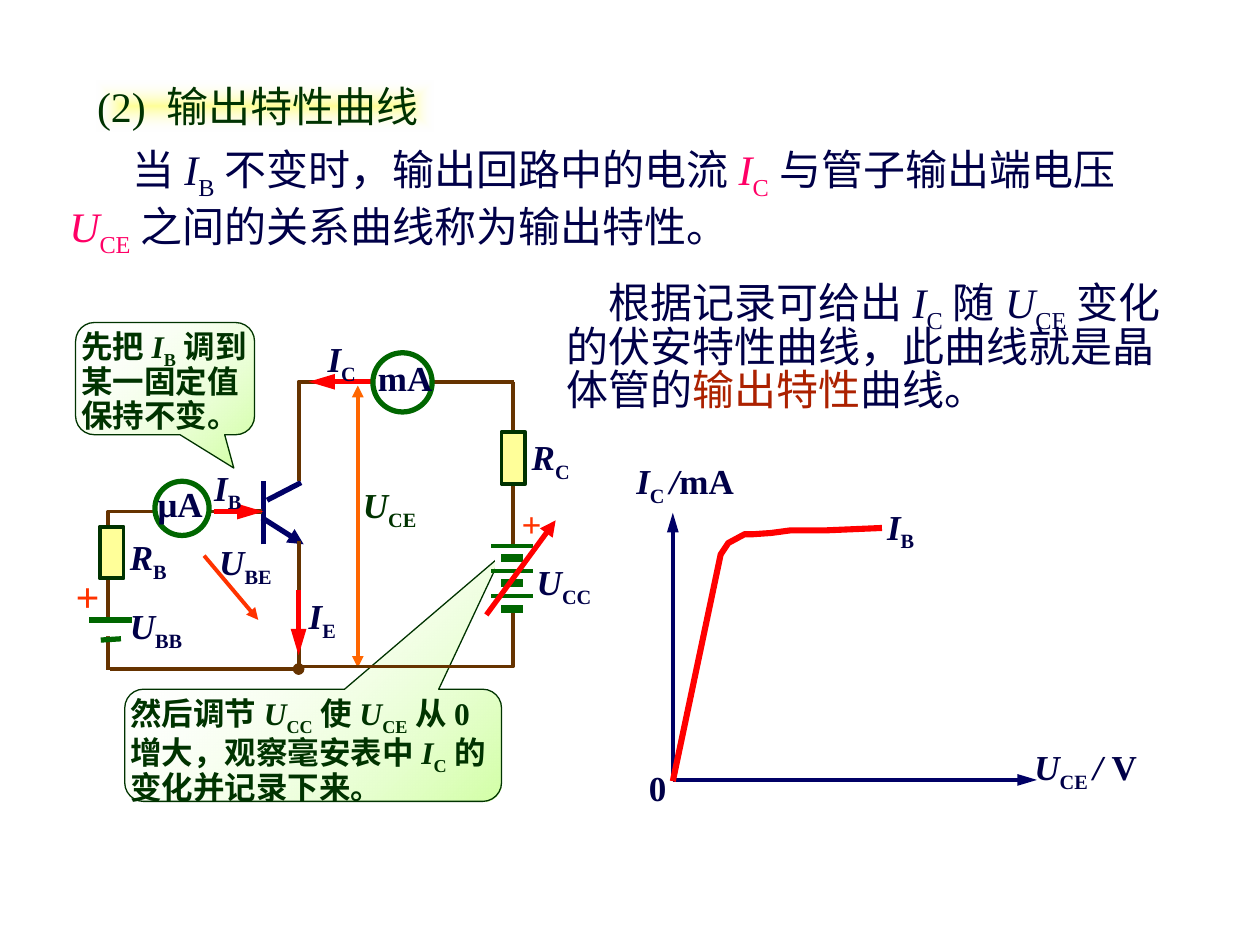
from lxml import etree
from pptx import Presentation
from pptx.dml.color import RGBColor
from pptx.enum.shapes import MSO_CONNECTOR, MSO_SHAPE
from pptx.enum.text import MSO_ANCHOR, MSO_AUTO_SIZE, PP_ALIGN
from pptx.oxml.ns import qn
from pptx.util import Inches, Pt

LINE = MSO_CONNECTOR.STRAIGHT
RECT, OVAL = MSO_SHAPE.RECTANGLE, MSO_SHAPE.OVAL
BUBBLE = MSO_SHAPE.ROUNDED_RECTANGULAR_CALLOUT
TOP, LEFT, NOFIT = MSO_ANCHOR.TOP, PP_ALIGN.LEFT, MSO_AUTO_SIZE.NONE

HUES = {"white": "FFFFFF", "glow": "FFFF99", "lime": "CCFF99", "dark": "003300",
        "green": "006600", "ink": "000048", "navy": "000066", "pink": "FF0066",
        "rust": "AC2100", "brown": "663300", "red": "FF0000", "flame": "FF3300",
        "orange": "FF6600"}

# Text markup: | parts runs, * italic, _ subscript, ! pink italic, ? pink subscript, ~ rust
HEAD = "(2) 输出特性曲线"
# text, box, first-line indent, line spacing
BODY = [
    ("当|*I|_B|不变时，输出回路中的电流|!I|?C|与管子输出端电压|!U|?CE|"
     "之间的关系曲线称为输出特性。", (0.55, 1.14, 8.74, 0.8), 0.5, 1),
    ("根据记录可给出|*I|_C|随|*U|_CE|变化的伏安特性曲线，此曲线就是晶体管的|"
     "~输出特性|曲线。", (4.5, 2.22, 4.84, 1.02), 0.33, 0.85),
]
# text, box, pointer adjustments
NOTES = [
    ("先把|*I|_B|调到某一固定值保持不变。",
     (0.6, 2.56, 1.42, 0.89), (0.384, 0.797, 0.167)),
    ("然后调节|*U|_CC|使|*U|_CE|从0增大，观察毫安表中|*I|_C|的变化并记录下来。",
     (0.99, 5.47, 2.99, 0.89), (0.501, -1.698, 0.167)),
]
# text, left, top, width, line spacing, colour, size
LABELS = [
    ("*U|_CE", 2.88, 3.84, 0.71, 0.95, "dark", 20),
    ("*U|_BB", 1.03, 4.8, 0.55, 1, "ink", 20),
    ("*U|_CC", 4.26, 4.45, 0.55, 1, "ink", 20),
    ("*R|_C", 4.22, 3.46, 0.36, 1, "ink", 20),
    ("*R|_B", 1.03, 4.25, 0.45, 1, "ink", 20),
    ("+", 0.6, 4.53, 0.25, 1, "flame", 24),
    ("+", 4.14, 3.99, 0.2, 1, "flame", 20),
    ("*I|_C", 2.6, 2.68, 0.31, 0.95, "ink", 20),
    ("*I|_B", 1.7, 3.7, 0.32, 0.95, "ink", 20),
    ("*I|_E", 2.45, 4.72, 0.32, 0.95, "ink", 20),
    ("*U|_BE", 1.74, 4.29, 0.53, 0.95, "ink", 20),
    ("mA", 3, 2.87, 0.47, 0.9, "ink", 20),
    ("μA", 1.25, 3.83, 0.42, 1, "ink", 20),
    ("*I|_B", 7.04, 4.03, 0.35, 0.85, "ink", 20),
    ("*U|_CE |*/ |V", 8.21, 5.92, 1, 1, "ink", 20),
    ("*I|_C |*/|mA", 5.05, 3.65, 0.95, 1, "ink", 20),
    ("0", 5.15, 6.08, 0.21, 1, "ink", 20),
]
# points, colour, width
BENDS = [
    ([(1.82, 4.06), (0.86, 4.06), (0.86, 5.32)], "brown", 2.25),
    ([(4.07, 3.03), (4.07, 5.29), (2.37, 5.29)], "brown", 2.25),
    ([(2.37, 3.82), (2.37, 3.03), (4.08, 3.03)], "brown", 2.25),
]
CURVE = ([(5.34, 6.2), (5.72, 4.4), (5.78, 4.31), (5.91, 4.24), (5.98, 4.24),
          (6.12, 4.23), (6.27, 4.21), (6.41, 4.21), (6.54, 4.21), (7, 4.19)],
         "red", 3.5)
# from, to, colour, width, then head, tail and arrow length where needed
WIRES = [
    ((2.84, 3.06), (2.84, 5.3), "orange", 2.25, "triangle", "triangle"),
    ((2.09, 4.32), (2.09, 3.82), "navy", 3),
    ((2.08, 4.11), (2.41, 4.32), "navy", 3, None, "triangle"),
    ((2.12, 3.97), (2.39, 3.83), "navy", 3),
    ((2.08, 4.06), (1.82, 4.06), "brown", 3),
    ((0.87, 5.31), (2.37, 5.31), "brown", 2.25),
    ((2.37, 4.29), (2.37, 5.31), "brown", 2.25, None, "oval"),
]
PLATES = [((0.71, 4.92), (1.05, 4.92), "green", 3.5),
          ((0.8, 5.08), (0.96, 5.07), "green", 3)]
for step in range(3):
    y = 4.33 + 0.2 * step
    PLATES += [((3.9, y), (4.23, y), "green", 2.25),
               ((3.98, y + 0.1), (4.15, y + 0.1), "green", 4.5)]
ARROWS = [
    ((2.96, 3.03), (2.45, 3.03), "red", 3, None, "triangle", "lg"),
    ((1.7, 4.06), (2.09, 4.06), "red", 3, None, "triangle", "lg"),
    ((2.37, 4.68), (2.37, 5.2), "red", 3, None, "triangle", "lg"),
    ((1.62, 4.41), (2.05, 4.92), "flame", 2.25, None, "triangle"),
    ((3.86, 4.88), (4.41, 4.13), "red", 3, None, "triangle"),
    ((5.34, 6.19), (8.23, 6.19), "navy", 2.25, None, "triangle", "lg"),
    ((5.34, 6.17), (5.34, 4.07), "navy", 2.25, None, "triangle", "lg"),
]
GAPS = [(0.76, 4.92, 0.26, 0.13), (3.93, 4.33, 0.26, 0.48)]
LOADS = [(3.98, 3.43, 0.19, 0.41), (0.79, 4.18, 0.19, 0.41)]
METERS = [(2.96, 2.8, 0.47, 0.47), (1.23, 3.82, 0.43, 0.43)]

deck = Presentation()
deck.slide_width, deck.slide_height = Inches(10), Inches(7.5)
slide = deck.slides.add_slide(deck.slide_layouts[5])
shapes = slide.shapes


def hue(name):
    return RGBColor.from_string(HUES[name])


def place(box):
    return [Inches(v) for v in box]


def write(shape, text, size, color, bold=False, gap=1, indent=0):
    frame = shape.text_frame
    form = {"word_wrap": True, "auto_size": NOFIT, "vertical_anchor": TOP,
            "margin_left": 0, "margin_right": 0, "margin_top": 0, "margin_bottom": 0}
    for key, val in form.items():
        setattr(frame, key, val)
    para = frame.paragraphs[0]
    para.alignment, para.line_spacing = LEFT, gap
    if indent:
        para._p.get_or_add_pPr().set("indent", str(Inches(indent)))
    for part in text.split("|"):
        mark = part[0] if part[0] in "*_!?~" else ""
        run = para.add_run()
        run.text = part[len(mark):]
        font = {"name": "Times New Roman", "size": Pt(size), "bold": bold,
                "italic": mark in ("*", "!")}
        for key, val in font.items():
            setattr(run.font, key, val)
        tint = {"!": "pink", "?": "pink", "~": "rust"}.get(mark, color)
        run.font.color.rgb = hue(tint)
        if mark in ("_", "?"):
            run.font._element.set("baseline", "-25000")


def stroke(shape, color, width):
    shape.line.color.rgb = hue(color)
    shape.line.width = Pt(width)


def solid(kind, box, fill, edge=None, width=0):
    shape = shapes.add_shape(kind, *place(box))
    shape.shadow.inherit = False
    shape.fill.solid()
    shape.fill.fore_color.rgb = hue(fill)
    if edge:
        stroke(shape, edge, width)
    else:
        shape.line.fill.background()
    return shape


def blend(shape, stops, glow=False):
    """Gradient fill with transparency: from the centre, or along 45 degrees."""
    shape.fill.gradient()
    grad = shape._element.spPr.find(qn("a:gradFill"))
    for child in list(grad):
        grad.remove(child)
    row = etree.SubElement(grad, qn("a:gsLst"))
    for pos, color, alpha in stops:
        stop = etree.SubElement(row, qn("a:gs"), pos=str(pos * 1000))
        tint = etree.SubElement(stop, qn("a:srgbClr"), val=HUES[color])
        etree.SubElement(tint, qn("a:alpha"), val=str(alpha * 1000))
    if glow:
        way = etree.SubElement(grad, qn("a:path"), {"path": "shape"})
        etree.SubElement(way, qn("a:fillToRect"), dict.fromkeys("ltrb", "50000"))
    else:
        etree.SubElement(grad, qn("a:lin"), ang="2700000", scaled="1")


def wire(start, end, color, width, head=None, tail=None, length="med"):
    link = shapes.add_connector(LINE, *place(start + end))
    stroke(link, color, width)
    for tag, kind in (("a:headEnd", head), ("a:tailEnd", tail)):
        if kind:
            etree.SubElement(link.line._ln, qn(tag), type=kind, w="med", len=length)
    etree.SubElement(link._element.spPr, qn("a:effectLst"))


def bend(points, color, width):
    dots = [tuple(place(p)) for p in points]
    pen = shapes.build_freeform(*dots[0], scale=1.0)
    pen.add_line_segments(dots[1:], close=False)
    shape = pen.convert_to_shape()
    shape.shadow.inherit = False
    shape.fill.background()
    stroke(shape, color, width)


# Heading
title = shapes.title
title.left, title.top, title.width, title.height = place((0.77, 0.64, 2.67, 0.4))
blend(title, [(0, "glow", 100), (100, "white", 0)], glow=True)
write(title, HEAD, 24, "dark")

# Callouts and running text
for text, box, adj in NOTES:
    note = solid(BUBBLE, box, "white", "dark", 0.75)
    for i, val in enumerate(adj):
        note.adjustments[i] = val
    blend(note, [(0, "white", 0), (100, "lime", 87)])
    write(note, text, 18, "dark", True, 0.9)
for text, box, indent, gap in BODY:
    write(shapes.add_textbox(*place(box)), text, 24, "ink", gap=gap, indent=indent)

# Circuit
for item in WIRES:
    wire(*item)
for item in BENDS:
    bend(*item)
for box in GAPS:
    solid(RECT, box, "white")
for item in PLATES:
    wire(*item)
for box in LOADS:
    solid(RECT, box, "glow", "dark", 2.25)
for item in ARROWS:
    wire(*item)
for box in METERS:
    solid(OVAL, box, "white", "green", 3)

# Characteristic curve and labels
bend(*CURVE)
for text, x, y, w, gap, color, size in LABELS:
    write(shapes.add_textbox(*place((x, y, w, 0.33))), text, size, color, True, gap)

deck.save("out.pptx")
